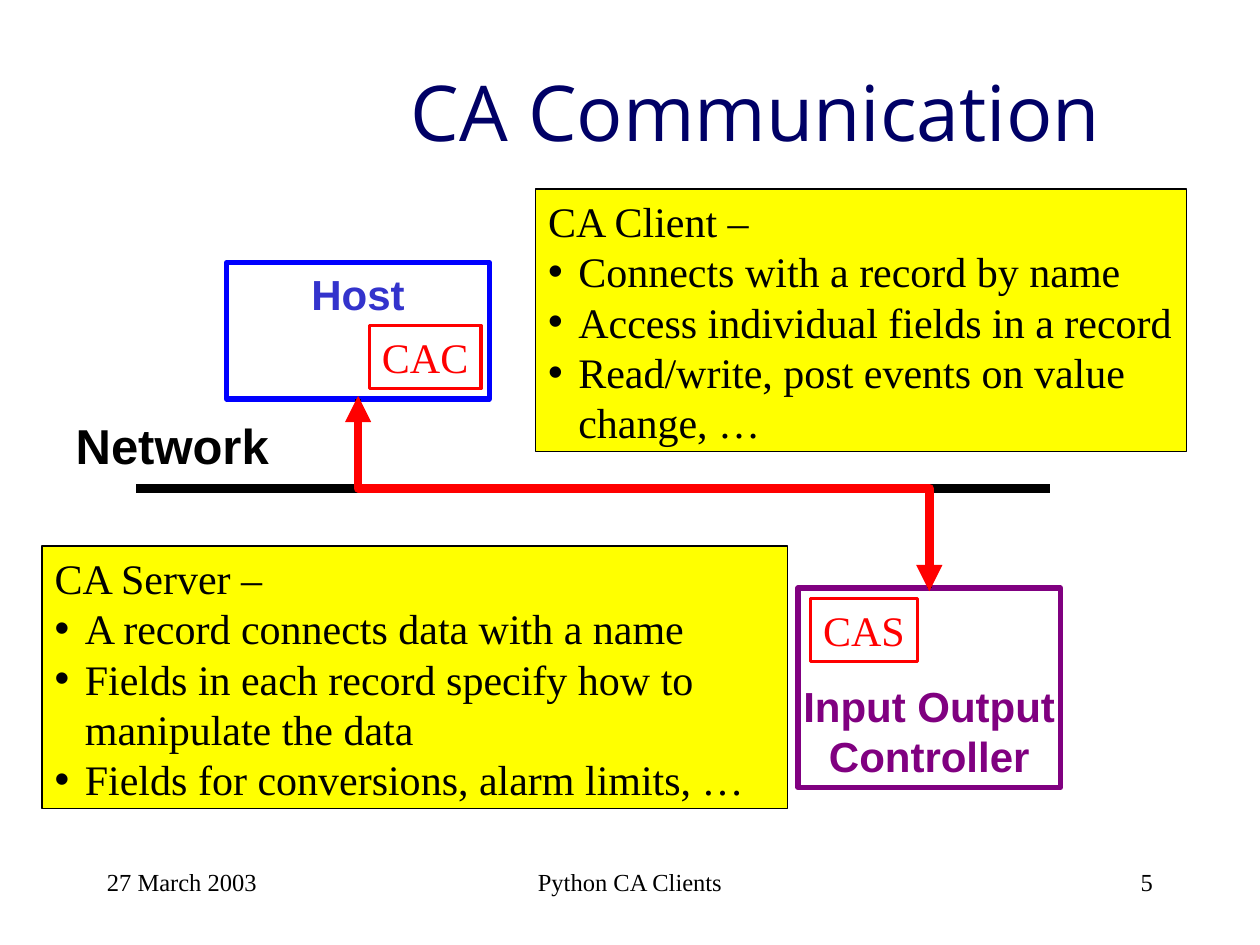
import pptx
import pptx.dml.color
import pptx.enum.shapes
import pptx.enum.text
import pptx.oxml
import pptx.oxml.ns
import pptx.oxml.xmlchemy
import pptx.util

RGBColor = pptx.dml.color.RGBColor
ALIGN = pptx.enum.text.PP_ALIGN
ANCHOR = pptx.enum.text.MSO_ANCHOR
CONNECTOR = pptx.enum.shapes.MSO_CONNECTOR

NAVY = RGBColor(0x00, 0x00, 0x66)
BLUE = RGBColor(0x00, 0x00, 0xFF)
INDIGO = RGBColor(0x33, 0x33, 0xCC)
PURPLE = RGBColor(0x80, 0x00, 0x80)
RED = RGBColor(0xFF, 0x00, 0x00)
YELLOW = RGBColor(0xFF, 0xFF, 0x00)
BLACK = RGBColor(0x00, 0x00, 0x00)

COLUMNS, ROWS = 120, 90


def add_element(parent, tag, **attributes):
    element = pptx.oxml.xmlchemy.OxmlElement(tag)
    for name, value in attributes.items():
        element.set(name, value)
    parent.append(element)
    return element


class SlideBuilder:
    """Places elements on a grid of 120 columns and 90 rows."""

    title_font, label_font, body_font = "Open Sans", "Arial", "Times New Roman"
    body_size = 24

    def __init__(self, presentation, layout):
        self.slide = presentation.slides.add_slide(layout)
        self.column = presentation.slide_width / COLUMNS
        self.row = presentation.slide_height / ROWS

    def area(self, left, top, width, height):
        return (round(left * self.column), round(top * self.row),
                round(width * self.column), round(height * self.row))

    def move(self, shape, area):
        shape.left, shape.top, shape.width, shape.height = self.area(*area)

    def add_lines(self, shape, lines, color, font=None, size=None, bold=False,
                  align=ALIGN.LEFT, anchor=ANCHOR.TOP, wrap=True):
        frame = shape.text_frame
        frame.auto_size = pptx.enum.text.MSO_AUTO_SIZE.NONE
        frame.word_wrap = wrap
        frame.vertical_anchor = anchor
        for number, line in enumerate(lines):
            paragraph = frame.add_paragraph() if number else frame.paragraphs[0]
            paragraph.alignment = align
            paragraph.space_before = pptx.util.Pt(0)
            run = paragraph.add_run()
            run.text = line
            run.font.name = font or self.body_font
            run.font.size = pptx.util.Pt(size or self.body_size)
            run.font.bold = bold
            run.font.color.rgb = color

    def outline(self, shape, color, width):
        shape.line.color.rgb = color
        shape.line.width = pptx.util.Pt(width)

    def title(self, text, area):
        shape = self.slide.shapes.title
        self.move(shape, area)
        self.add_lines(shape, [text], NAVY, self.title_font, 44,
                       align=ALIGN.CENTER, anchor=ANCHOR.MIDDLE)

    def list_panel(self, index, heading, items, area):
        shape = self.slide.placeholders[index]
        self.move(shape, area)
        shape.fill.solid()
        shape.fill.fore_color.rgb = YELLOW
        self.outline(shape, BLACK, 0.75)
        self.add_lines(shape, [heading] + items, BLACK)
        indent = pptx.util.Inches(0.24)
        for number, paragraph in enumerate(shape.text_frame.paragraphs):
            properties = paragraph._p.get_or_add_pPr()
            properties.set("marL", str(indent if number else 0))
            properties.set("indent", str(-indent if number else 0))
            if number:
                add_element(properties, "a:buChar", char="•")
            else:
                add_element(properties, "a:buNone")

    def box(self, lines, area, line_color, line_width, **text_style):
        shape = self.slide.shapes.add_shape(
            pptx.enum.shapes.MSO_SHAPE.RECTANGLE, *self.area(*area))
        shape.shadow.inherit = False
        shape.fill.background()
        self.outline(shape, line_color, line_width)
        self.add_lines(shape, lines, wrap=False, **text_style)

    def text(self, line, area, **text_style):
        shape = self.slide.shapes.add_textbox(*self.area(*area))
        self.add_lines(shape, [line], BLACK, **text_style)

    def line(self, start, end, color, width, kind=CONNECTOR.STRAIGHT):
        connector = self.slide.shapes.add_connector(
            kind, *self.area(*start, *end))
        self.outline(connector, color, width)
        add_element(connector._element.spPr, "a:effectLst")
        return connector

    def elbow_arrow(self, start, end, middle_row, color, width):
        """Double arrow that runs down, across and down again."""
        center_x, center_y = (start[0] + end[0]) / 2, (start[1] + end[1]) / 2
        half_x, half_y = (end[0] - start[0]) / 2, (end[1] - start[1]) / 2
        # The frame lies on its side and is turned by three quarters
        connector = self.line((center_x + half_y, center_y - half_x),
                              (center_x - half_y, center_y + half_x),
                              color, width, CONNECTOR.ELBOW)
        properties = connector._element.spPr
        properties.find(pptx.oxml.ns.qn("a:xfrm")).set("rot", "16200000")
        geometry = properties.find(pptx.oxml.ns.qn("a:prstGeom"))
        share = (middle_row - start[1]) / (end[1] - start[1])
        add_element(geometry.find(pptx.oxml.ns.qn("a:avLst")), "a:gd",
                    name="adj1", fmla=f"val {round(share * 100000)}")
        line = connector.line._get_or_add_ln()
        for tag in ("a:headEnd", "a:tailEnd"):
            add_element(line, tag, type="triangle")


def main():
    presentation = pptx.Presentation()
    presentation.slide_width = pptx.util.Inches(10)
    presentation.slide_height = pptx.util.Inches(7.5)
    two_content = presentation.slide_layouts[3]
    builder = SlideBuilder(presentation, two_content)

    # Title and the two explanations
    builder.title("CA Communication", (28, 3, 88, 15))
    builder.list_panel(1, "CA Client –", [
        "Connects with a record by name",
        "Access individual fields in a record",
        "Read/write, post events on value change, …",
    ], (51, 18, 62, 25))
    builder.list_panel(2, "CA Server –", [
        "A record connects data with a name",
        "Fields in each record specify how to manipulate the data",
        "Fields for conversions, alarm limits, …",
    ], (4, 52, 71, 25))

    # Host and controller
    host, controller = (21.6, 25, 25, 13), (76, 56, 25, 19)
    label = dict(font=builder.label_font, bold=True, align=ALIGN.CENTER)
    builder.box(["Input Output", "Controller"], controller, PURPLE, 3,
                color=PURPLE, anchor=ANCHOR.BOTTOM, **label)
    builder.box(["Host"], host, BLUE, 3, color=INDIGO, **label)

    # Network with its two branches
    network_row = 46.5
    host_x = host[0] + host[2] / 2
    host_bottom = host[1] + host[3]
    controller_x = controller[0] + controller[2] / 2
    controller_top = controller[1]
    builder.line((13, network_row), (100, network_row), BLACK, 5)
    for x, row in ((host_x, host_bottom), (controller_x, controller_top)):
        builder.line((x, row), (x, network_row), BLACK, 3)
    builder.text("Network", (6, 39, 20.8, 6.8), size=28, wrap=False, **label)

    # Client and server ends, joined by the red arrow
    for name, area in (("CAS", (77.2, 57, 10.2, 6)),
                       ("CAC", (35.2, 31, 10.6, 6))):
        builder.box([name], area, RED, 2, color=RED)
    builder.elbow_arrow((host_x, host_bottom - 0.3),
                        (controller_x, controller_top + 0.3),
                        network_row, RED, 5)

    # Footer
    for text, left, width, align in (
            ("27 March 2003", 9, 25, ALIGN.LEFT),
            ("Python CA Clients", 41, 38, ALIGN.CENTER),
            ("5", 86, 25, ALIGN.RIGHT)):
        builder.text(text, (left, 82, width, 6), size=14, align=align)

    presentation.save("out.pptx")


if __name__ == "__main__":
    main()
